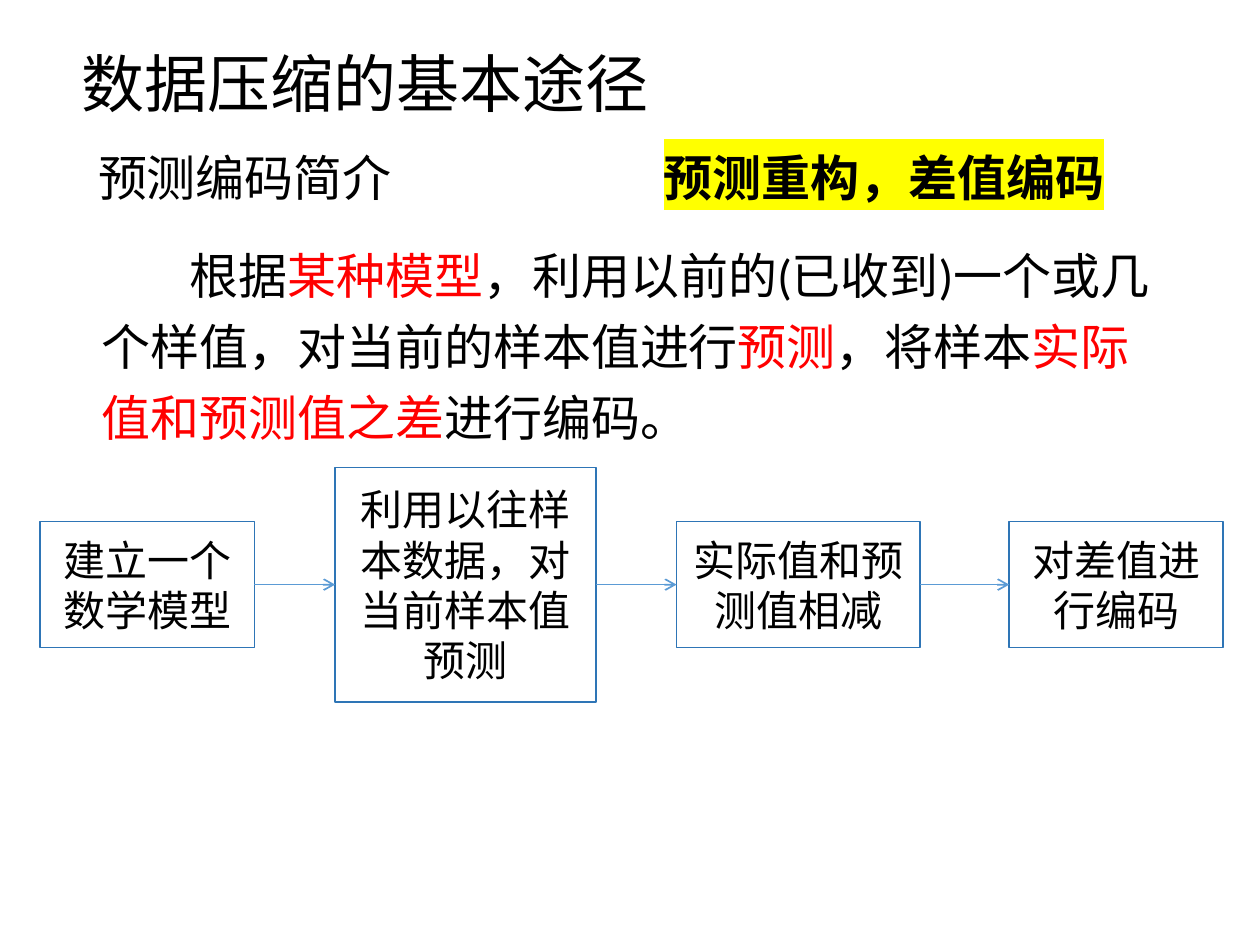
from dataclasses import dataclass
from itertools import pairwise

from pptx import Presentation
from pptx.dml.color import RGBColor
from pptx.enum.shapes import MSO_CONNECTOR, MSO_SHAPE
from pptx.enum.text import MSO_ANCHOR, MSO_AUTO_SIZE, PP_ALIGN
from pptx.oxml.ns import qn
from pptx.shapes.autoshape import Shape
from pptx.slide import Slide
from pptx.text.text import _Paragraph, _Run
from pptx.util import Inches, Pt
from lxml.etree import SubElement


@dataclass(frozen=True)
class Theme:
    font: str = "Calibri"
    title: int = 36
    body: int = 28
    step: int = 24
    text: str = "000000"
    accent: str = "FF0000"
    marker: str = "FFFF00"
    border: str = "2E75B6"
    arrow: str = "5B9BD5"
    line: int = 1


@dataclass(frozen=True)
class Span:
    text: str
    color: str


@dataclass(frozen=True)
class Label:
    left: float
    top: float
    width: float
    height: float
    size: int
    spans: tuple[Span, ...]


@dataclass(frozen=True)
class Step:
    left: float
    width: float
    height: float
    text: str


THEME = Theme()
FLOW_MIDDLE = 4.64
STEPS = (
    Step(0.32, 1.7, 1, "建立一个数学模型"),
    Step(2.66, 2.07, 1.86, "利用以往样本数据，对当前样本值预测"),
    Step(5.37, 1.93, 1, "实际值和预测值相减"),
    Step(8.01, 1.7, 1, "对差值进行编码"),
)


def plain(text: str) -> Span:
    return Span(text, THEME.text)


def key(text: str) -> Span:
    return Span(text, THEME.accent)


TITLE = Label(0.55, 0.3, 8.86, 0.71, THEME.title, (plain("数据压缩的基本途径"),))
TOPIC = Label(0.68, 1.12, 5.42, 0.57, THEME.body, (plain("预测编码简介"),))
SUMMARY = Label(5.17, 1.12, 4.24, 0.57, THEME.body, (plain("预测重构，差值编码"),))
DEFINITION = Label(0.71, 1.81, 8.7, 1.8, THEME.body, (
    plain("根据"),
    key("某种模型"),
    plain("，利用以前的(已收到)一个或几个样值，对当前的样本值进行"),
    key("预测"),
    plain("，将样本"),
    key("实际值和预测值之差"),
    plain("进行编码。"),
))


def write(p: _Paragraph, size: int, spans: tuple[Span, ...]) -> None:
    p.font.name = THEME.font
    p.font.size = Pt(size)
    p.font.color.rgb = RGBColor.from_string(THEME.text)
    for span in spans:
        r = p.add_run()
        r.text = span.text
        if span.color != THEME.text:
            r.font.color.rgb = RGBColor.from_string(span.color)


def add_label(s: Slide, label: Label) -> _Paragraph:
    sp = s.shapes.add_textbox(Inches(label.left), Inches(label.top),
                              Inches(label.width), Inches(label.height))
    tf = sp.text_frame
    tf.word_wrap = True
    tf.auto_size = MSO_AUTO_SIZE.SHAPE_TO_FIT_TEXT
    p = tf.paragraphs[0]
    write(p, label.size, label.spans)
    return p


def highlight(r: _Run, color: str) -> None:
    mark = SubElement(r.font._element, qn("a:highlight"))
    SubElement(mark, qn("a:srgbClr"), val=color)


def add_step(s: Slide, step: Step) -> Shape:
    sp = s.shapes.add_shape(
        MSO_SHAPE.RECTANGLE, Inches(step.left), Inches(FLOW_MIDDLE - step.height / 2),
        Inches(step.width), Inches(step.height))
    sp.shadow.inherit = False
    sp.fill.background()
    sp.line.color.rgb = RGBColor.from_string(THEME.border)
    sp.line.width = Pt(THEME.line)
    tf = sp.text_frame
    tf.word_wrap = True
    tf.vertical_anchor = MSO_ANCHOR.MIDDLE
    p = tf.paragraphs[0]
    p.alignment = PP_ALIGN.CENTER
    write(p, THEME.step, (plain(step.text),))
    return sp


def add_arrow(s: Slide, start: Shape, end: Shape) -> None:
    cxn = s.shapes.add_connector(MSO_CONNECTOR.STRAIGHT, 0, 0, 0, 0)
    cxn.begin_connect(start, 3)
    cxn.end_connect(end, 1)
    cxn.line.color.rgb = RGBColor.from_string(THEME.arrow)
    cxn.line.width = Pt(THEME.line)
    SubElement(cxn.line._get_or_add_ln(), qn("a:tailEnd"), type="arrow")
    SubElement(cxn._element.spPr, qn("a:effectLst"))


def main() -> None:
    prs = Presentation()
    prs.slide_width, prs.slide_height = Inches(10), Inches(7.5)
    s = prs.slides.add_slide(prs.slide_layouts[6])

    add_label(s, TITLE)
    add_label(s, TOPIC)
    definition = add_label(s, DEFINITION)
    definition.line_spacing = 1.2
    definition._p.get_or_add_pPr().set("indent", str(Inches(0.7)))

    boxes = [add_step(s, step) for step in STEPS]
    for start, end in pairwise(boxes):
        add_arrow(s, start, end)

    summary = add_label(s, SUMMARY)
    summary.font.bold = True
    highlight(summary.runs[0], THEME.marker)

    prs.save("out.pptx")


if __name__ == "__main__":
    main()
